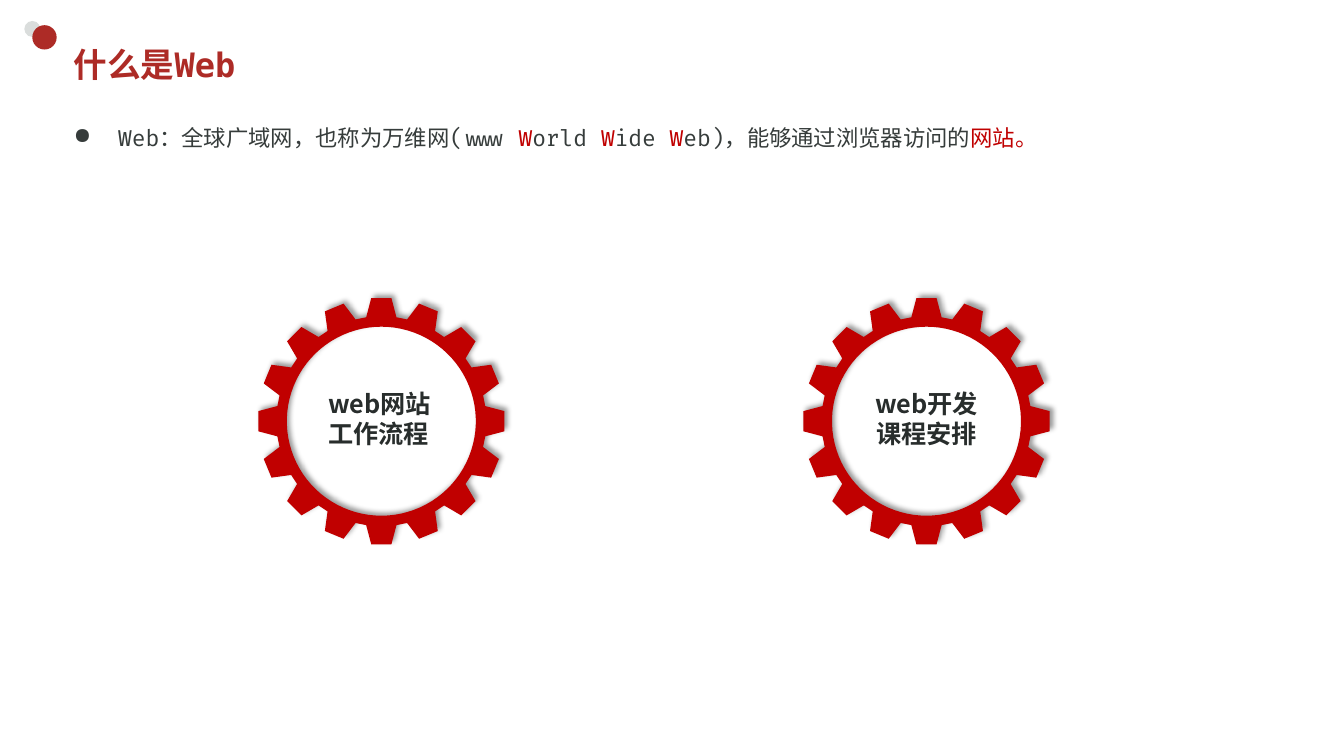
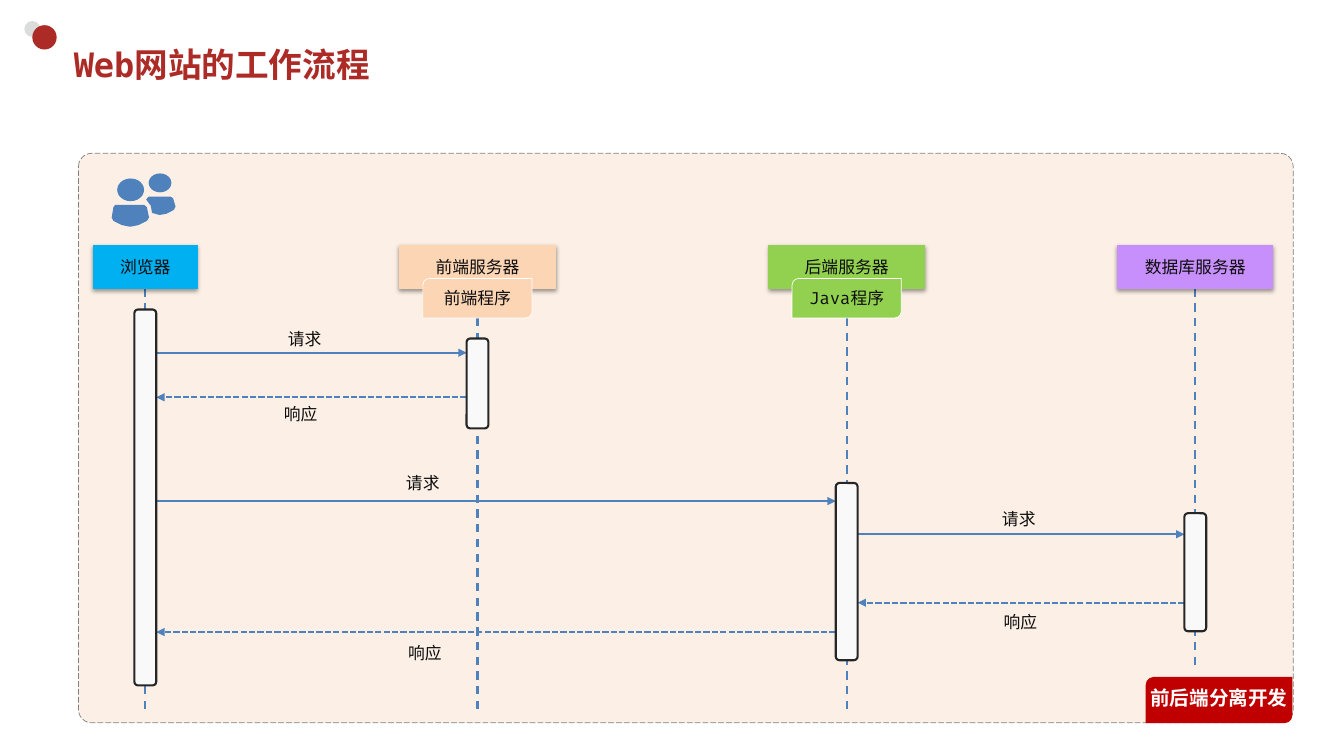
import math

import lxml.etree
import pptx
import pptx.dml.color
import pptx.enum.dml
import pptx.enum.shapes
import pptx.enum.text
import pptx.oxml.ns
import pptx.util

qn = pptx.oxml.ns.qn
SHAPE = pptx.enum.shapes.MSO_SHAPE
DASH = pptx.enum.dml.MSO_LINE
ALIGN = pptx.enum.text.PP_ALIGN
ANCHOR = pptx.enum.text.MSO_ANCHOR


class Theme:
    brand, accent, white = "AD2B26", "C00000", "FFFFFF"
    dot, body, caption, label = "DADDDC", "363C3B", "282D2C", "0D0D0D"
    panel, panel_edge = "E46C0A", "808080"
    flow, bar, bar_edge = "4F81BD", "F9F9F9", "262626"
    sky, peach, green, violet = "00B0F0", "FCD5B5", "92D050", "C78FFC"
    mono, code, hanzi = "DejaVu Sans Mono", "Fira Code", "Noto Sans CJK JP"
    title_size, caption_size, body_size, badge_size, label_size = 24, 18, 16, 14, 12
    # Opacity, blur, distance (points) and direction (degrees)
    gear_shadow, header_shadow = (40, 4, 3, 315), (38, 3.1, 1.6, 90)


# The slide is a grid of 160 columns by 90 rows of square cells
deck = pptx.Presentation()
deck.slide_width, deck.slide_height = pptx.util.Inches(13.333), pptx.util.Inches(7.5)
cell = deck.slide_height / 90


def grid(*cells):
    return [pptx.util.Emu(round(count * cell)) for count in cells]


def style(shape, fill, line=None, width=0.75, shadow=None):
    shape.fill.solid()
    shape.fill.fore_color.rgb = pptx.dml.color.RGBColor.from_string(fill)
    if line:
        shape.line.color.rgb = pptx.dml.color.RGBColor.from_string(line)
        shape.line.width = pptx.util.Pt(width)
    else:
        shape.line.fill.background()
    shape.shadow.inherit = False
    if shadow:
        opacity, blur, distance, angle = shadow
        effects = shape.element.spPr.find(qn("a:effectLst"))
        outer = lxml.etree.SubElement(
            effects, qn("a:outerShdw"), blurRad=str(pptx.util.Pt(blur)),
            dist=str(pptx.util.Pt(distance)), dir=str(angle * 60000),
            algn="ctr", rotWithShape="0")
        black = lxml.etree.SubElement(outer, qn("a:srgbClr"), val="000000")
        lxml.etree.SubElement(black, qn("a:alpha"), val=str(opacity * 1000))


def write(shape, text, size, colour, font=Theme.code, bold=False,
          align=ALIGN.LEFT, anchor=ANCHOR.TOP, inset=None, spacing=None):
    frame = shape.text_frame
    frame.word_wrap, frame.vertical_anchor = True, anchor
    if inset is not None:
        frame.margin_left = frame.margin_right = inset
        frame.margin_top = frame.margin_bottom = inset
    frame.text = text
    for para in frame.paragraphs:
        para.alignment, para.line_spacing = align, spacing
        for span in para.runs:
            span.font.size, span.font.bold, span.font.name = pptx.util.Pt(size), bold, font
            span.font.color.rgb = pptx.dml.color.RGBColor.from_string(colour)
            lxml.etree.SubElement(span.font._element, qn("a:ea"), typeface=Theme.hanzi)


# Shared corner dots and titles
pages = []
for title in ("什么是Web", "Web网站的工作流程"):
    page = deck.slides.add_slide(deck.slide_layouts[6])
    for left, top, size, colour in ((2.9, 2.5, 1.9, Theme.dot), (3.85, 3, 2.9, Theme.brand)):
        style(page.shapes.add_shape(SHAPE.OVAL, *grid(left, top, size, size)), colour)
    box = page.shapes.add_textbox(*grid(7.6, 4.45, 141, 6.25))
    write(box, title, Theme.title_size, Theme.brand, Theme.mono, True, anchor=ANCHOR.MIDDLE)
    pages.append(page)
intro, workflow = pages

# Slide 1: definition with highlighted words
box = intro.shapes.add_textbox(*grid(7.6, 12.6, 145, 6.25))
pieces = ("Web：全球广域网，也称为万维网(www ", "W", "orld ", "W", "ide ", "W",
          "eb)，能够通过浏览器访问的", "网站。")
write(box, pieces[0], Theme.body_size, Theme.body, spacing=1.5)
para = box.text_frame.paragraphs[0]
properties = para._p.get_or_add_pPr()
properties.set("marL", str(pptx.util.Inches(0.44)))
properties.set("indent", str(pptx.util.Inches(-0.44)))
lxml.etree.SubElement(properties, qn("a:buChar"), char="●")
for index, piece in enumerate(pieces[1:], 1):
    span = para.add_run()
    span.text = piece
    span.font.size, span.font.name = pptx.util.Pt(Theme.body_size), Theme.code
    span.font.color.rgb = pptx.dml.color.RGBColor.from_string(
        Theme.accent if index % 2 else Theme.body)
    lxml.etree.SubElement(span.font._element, qn("a:ea"), typeface=Theme.hanzi)

# Slide 1: gears, each a toothed rim around a round hole
teeth, tip, root, hole, gear_row = 16, 14.7, 12.5, 11.25, 50.15
profile = ((-8.3, root), (-4.7, tip), (4.7, tip), (8.3, root))
rim = [(360 / teeth * tooth + angle, radius) for tooth in range(teeth) for angle, radius in profile]
bore = [(angle, hole) for angle in range(0, 360, 4)]
gears = (
    (45.4, "web网站工作流程", 37.9, 14.8, ALIGN.LEFT),
    (110.3, "web开发\n课程安排", 100.7, 19.2, ALIGN.CENTER),
)
for column, caption, left, width, align in gears:
    rings = [[grid(column + radius * math.sin(math.radians(angle)),
                   gear_row - radius * math.cos(math.radians(angle)))
              for angle, radius in ring] for ring in (rim, bore)]
    builder = intro.shapes.build_freeform(*rings[0][0])
    builder.add_line_segments(rings[0][1:])
    builder.move_to(*rings[1][0])
    builder.add_line_segments(rings[1][1:])
    style(builder.convert_to_shape(), Theme.accent, shadow=Theme.gear_shadow)
    box = intro.shapes.add_textbox(*grid(left, 45.6, width, 8.5))
    write(box, caption, Theme.caption_size, Theme.caption, Theme.hanzi, True, align)

# Slide 2: panel and badge
panel = workflow.shapes.add_shape(SHAPE.ROUNDED_RECTANGLE, *grid(9.35, 18.25, 144.6, 67.8))
panel.adjustments[0] = 0.023
style(panel, Theme.panel, Theme.panel_edge, 0.5)
panel.line.dash_style = DASH.LONG_DASH
tint = panel.element.spPr.find(qn("a:solidFill")).find(qn("a:srgbClr"))
lxml.etree.SubElement(tint, qn("a:alpha"), val="10000")
badge = workflow.shapes.add_shape(SHAPE.ROUND_2_DIAG_RECTANGLE, *grid(136.4, 80.6, 17.45, 5.5))
style(badge, Theme.accent)
write(badge, "前后端分离开发", Theme.badge_size, Theme.white, bold=True,
      align=ALIGN.CENTER, anchor=ANCHOR.MIDDLE, inset=0)
badge.text_frame.margin_bottom = pptx.util.Inches(0.05)

# Slide 2: two users
for left, top, width, height in ((13.95, 21.25, 3.2, 2.7), (17.7, 20.65, 2.7, 2.25)):
    style(workflow.shapes.add_shape(SHAPE.OVAL, *grid(left, top, width, height)), Theme.flow)
torsos = (
    ((13.7, 24.4), (17.2, 24.4), (17.5, 24.7), (17.75, 25.9), (17.5, 26.3),
     (16.5, 26.8), (15.5, 27), (14.5, 26.8), (13.5, 26.3), (13.3, 25.9), (13.5, 24.7)),
    ((17.7, 23.4), (20.3, 23.4), (20.6, 23.6), (20.9, 24.6), (20.7, 25),
     (19.8, 25.45), (19, 25.6), (18.1, 25.35), (17.95, 24.5), (17.4, 23.75)),
)
for torso in torsos:
    outline = [grid(*point) for point in torso]
    builder = workflow.shapes.build_freeform(*outline[0])
    builder.add_line_segments(outline[1:])
    style(builder.convert_to_shape(), Theme.flow)

# Slide 2: participants as centre, name, header width, colour, program, bar top and
# height, lifeline end
participants = (
    (17.3, "浏览器", 12.35, Theme.sky, None, 36.85, 44.75, 84.7),
    (56.85, "前端服务器", 18.5, Theme.peach, "前端程序", 40.3, 10.7, 84.7),
    (100.8, "后端服务器", 18.5, Theme.green, "Java程序", 57.5, 21.1, 84.7),
    (142.3, "数据库服务器", 18.5, Theme.violet, None, 61.1, 14.05, 79.4),
)
header_top, header_height, bar_width = 29.2, 5.15, 2.6
lines = [(centre, header_top + header_height, centre, end, DASH.DASH, False)
         for centre, *_, end in participants]

# Slide 2: messages as sender, receiver, row, label column and row
messages = (
    (0, 1, 42, 33.1, 37.3), (1, 0, 47.3, 32.6, 46.3),
    (0, 2, 59.65, 47.15, 54.5), (2, 0, 75.25, 47.4, 74.75),
    (2, 3, 63.6, 118.1, 58.8), (3, 2, 71.75, 118.3, 71.05),
)
for sender, receiver, row, left, top in messages:
    request = sender < receiver
    edge = bar_width / 2 if request else -bar_width / 2
    lines.append((participants[sender][0] + edge, row, participants[receiver][0] - edge, row,
                  DASH.SOLID if request else DASH.SQUARE_DOT, True))
    box = workflow.shapes.add_textbox(*grid(left, top, 8.8, 4.7))
    write(box, "请求" if request else "响应", Theme.label_size, Theme.label, spacing=1.5)

# Slide 2: lifelines and message arrows
for x1, y1, x2, y2, dash, arrow in lines:
    line = workflow.shapes.add_connector(
        pptx.enum.shapes.MSO_CONNECTOR.STRAIGHT, *grid(x1, y1, x2, y2))
    line.line.color.rgb = pptx.dml.color.RGBColor.from_string(Theme.flow)
    line.line.width, line.line.dash_style = pptx.util.Pt(1.5), dash
    properties = line.element.spPr
    if arrow:
        lxml.etree.SubElement(properties.find(qn("a:ln")), qn("a:tailEnd"), type="triangle")
    lxml.etree.SubElement(properties, qn("a:effectLst"))

# Slide 2: headers, programs and activation bars
for centre, name, width, colour, program, bar_top, bar_height, end in participants:
    header = workflow.shapes.add_shape(
        SHAPE.RECTANGLE, *grid(centre - width / 2, header_top, width, header_height))
    style(header, colour, colour, shadow=Theme.header_shadow)
    write(header, name, Theme.label_size, Theme.label,
          align=ALIGN.CENTER, anchor=ANCHOR.MIDDLE)
    if program:
        tab = workflow.shapes.add_shape(
            SHAPE.ROUND_2_DIAG_RECTANGLE, *grid(centre - 6.5, 33.15, 13, 4.7))
        style(tab, colour, Theme.white, 0.5)
        write(tab, program, Theme.label_size, Theme.label,
              align=ALIGN.CENTER, anchor=ANCHOR.MIDDLE, inset=0)
    bar = workflow.shapes.add_shape(
        SHAPE.ROUNDED_RECTANGLE, *grid(centre - bar_width / 2, bar_top, bar_width, bar_height))
    style(bar, Theme.bar, Theme.bar_edge, 1.5)

deck.save("out.pptx")
